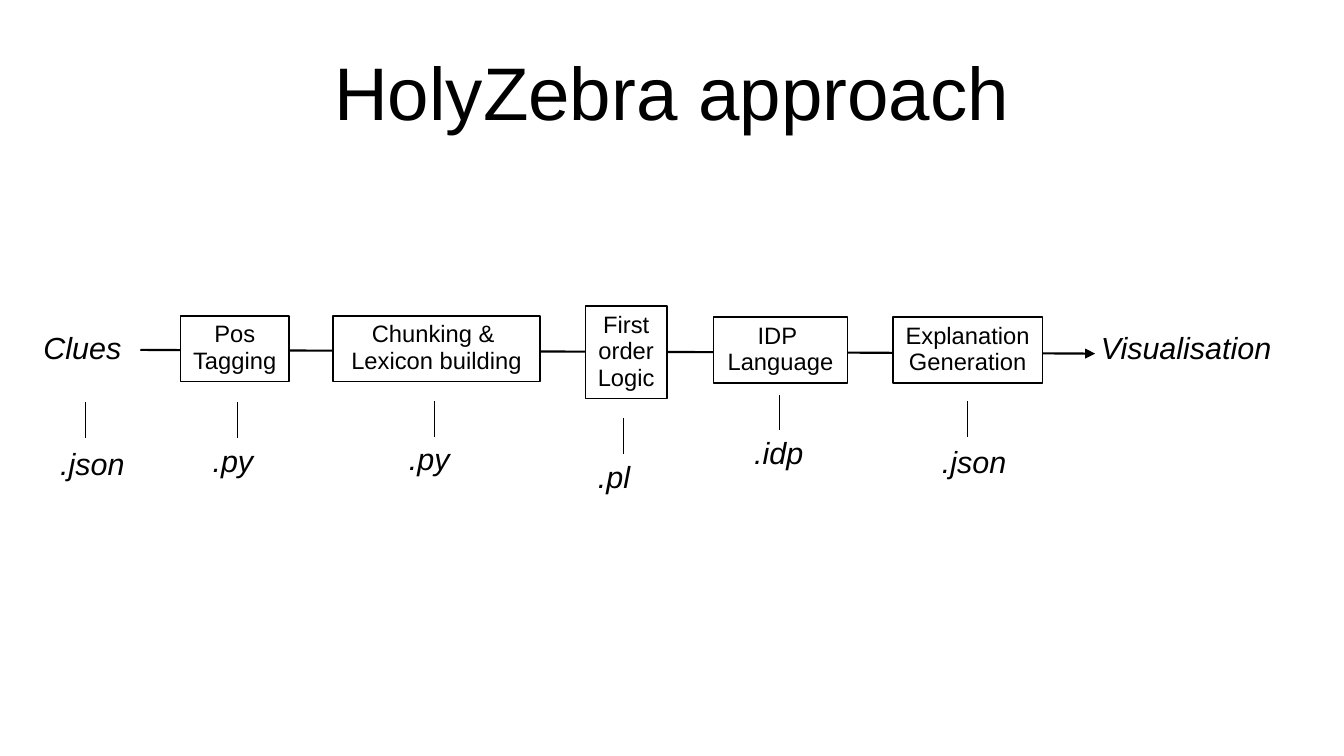
"""Build the HolyZebra approach slide: a pipeline of stages with their file types."""
import pptx
import pptx.util
import pptx.dml.color
import pptx.enum.shapes
import pptx.enum.text
import pptx.oxml.ns
from lxml import etree

BLACK = pptx.dml.color.RGBColor(0, 0, 0)
WHITE = pptx.dml.color.RGBColor(255, 255, 255)
FONT = "Arial"
CELL = pptx.util.Inches(0.1)
COLS, ROWS = 110.2, 62
TICK_ROWS = 2.9
LABEL_INDENT = 3.05
LABEL_ROWS = 3.8

STAGES = [
    (14.8, 25.9, 8.9, 5.4, ["Pos", "Tagging"], False),
    (27.3, 25.9, 17, 5.4, ["Chunking & ", "Lexicon building"], True),
    (48, 25.1, 6.7, 7.6, ["First order", "Logic "], True),
    (58.5, 26, 11, 5.4, ["IDP ", "Language"], True),
    (73.2, 26, 12.3, 5.4, ["Explanation", "Generation"], False),
]
FILE_TYPES = [
    (7, 33, 36.3, 7.3, ".json"),
    (19.5, 33, 36, 5.4, ".py"),
    (35.6, 32.9, 35.9, 5.4, ".py"),
    (51.1, 34.3, 37.3, 4.7, ".pl"),
    (63.9, 32.4, 35.4, 6.1, ".idp"),
    (79.3, 32.9, 36.1, 7.3, ".json"),
]


def grid(*cells):
    """Turn grid positions into lengths."""
    return [round(c * CELL) for c in cells]


def write(sp, lines, size, align, italic=False, wrap=False, grow=True):
    """Fill a shape with one paragraph per line."""
    tf = sp.text_frame
    tf.word_wrap = wrap
    tf.vertical_anchor = pptx.enum.text.MSO_ANCHOR.TOP
    if grow:
        tf.auto_size = pptx.enum.text.MSO_AUTO_SIZE.SHAPE_TO_FIT_TEXT
    tf.text = "\n".join(lines)
    for p in tf.paragraphs:
        p.alignment = align
        p.line_spacing = 0.93
        p.font.name = FONT
        p.font.size = pptx.util.Pt(size)
        p.font.italic = italic
        p.font.color.rgb = BLACK


def add_title(s, text):
    """Add the centred slide title."""
    sp = s.shapes.add_textbox(*grid(5.5, 2.5, 99.2, 10.3))
    write(sp, [text], 44, pptx.enum.text.PP_ALIGN.CENTER, wrap=True, grow=False)
    tf = sp.text_frame
    tf.vertical_anchor = pptx.enum.text.MSO_ANCHOR.MIDDLE
    tf.margin_left = tf.margin_right = tf.margin_bottom = 0
    tf.margin_top = pptx.util.Inches(0.04)


def add_label(s, x, y, w, text, align, wrap=False):
    """Add an italic label without a frame."""
    sp = s.shapes.add_textbox(*grid(x, y, w, LABEL_ROWS))
    write(sp, [text], 18, align, italic=True, wrap=wrap)


def add_stage(s, x, y, w, h, lines, wrap):
    """Add a framed pipeline stage."""
    sp = s.shapes.add_shape(pptx.enum.shapes.MSO_SHAPE.RECTANGLE, *grid(x, y, w, h))
    sp.shadow.inherit = False
    sp.fill.solid()
    sp.fill.fore_color.rgb = WHITE
    sp.line.color.rgb = BLACK
    sp.line.width = pptx.util.Pt(1)
    write(sp, lines, 14, pptx.enum.text.PP_ALIGN.CENTER, wrap=wrap)


def add_line(s, x1, y1, x2, y2, width, arrow=False):
    """Add a straight line, with an arrowhead at its end if asked."""
    c = s.shapes.add_connector(
        pptx.enum.shapes.MSO_CONNECTOR.STRAIGHT, *grid(x1, y1, x2, y2))
    c.line.color.rgb = BLACK
    c.line.width = pptx.util.Pt(width)
    if arrow:
        ln = c.line._get_or_add_ln()
        etree.SubElement(ln, pptx.oxml.ns.qn("a:tailEnd"), type="triangle")
    etree.SubElement(c._element.spPr, pptx.oxml.ns.qn("a:effectLst"))


def add_file_type(s, x, y, label_y, w, text):
    """Add a tick with the file type below it."""
    add_line(s, x, y, x, y + TICK_ROWS, 0.75)
    add_label(s, x - LABEL_INDENT, label_y, w, text, pptx.enum.text.PP_ALIGN.LEFT)


def main():
    """Build and save the slide."""
    prs = pptx.Presentation()
    prs.slide_width, prs.slide_height = grid(COLS, ROWS)
    s = prs.slides.add_slide(prs.slide_layouts[6])
    center = pptx.enum.text.PP_ALIGN.CENTER
    add_line(s, 11.5, 28.7, 89.8, 29, 1.25, arrow=True)
    add_title(s, "HolyZebra approach")
    for stage in STAGES:
        add_stage(s, *stage)
    add_label(s, 89.2, 26.8, 16.1, "Visualisation", center)
    add_label(s, 2.4, 26.8, 8.7, "Clues", center, wrap=True)
    for file_type in FILE_TYPES:
        add_file_type(s, *file_type)
    prs.save("out.pptx")


if __name__ == "__main__":
    main()
